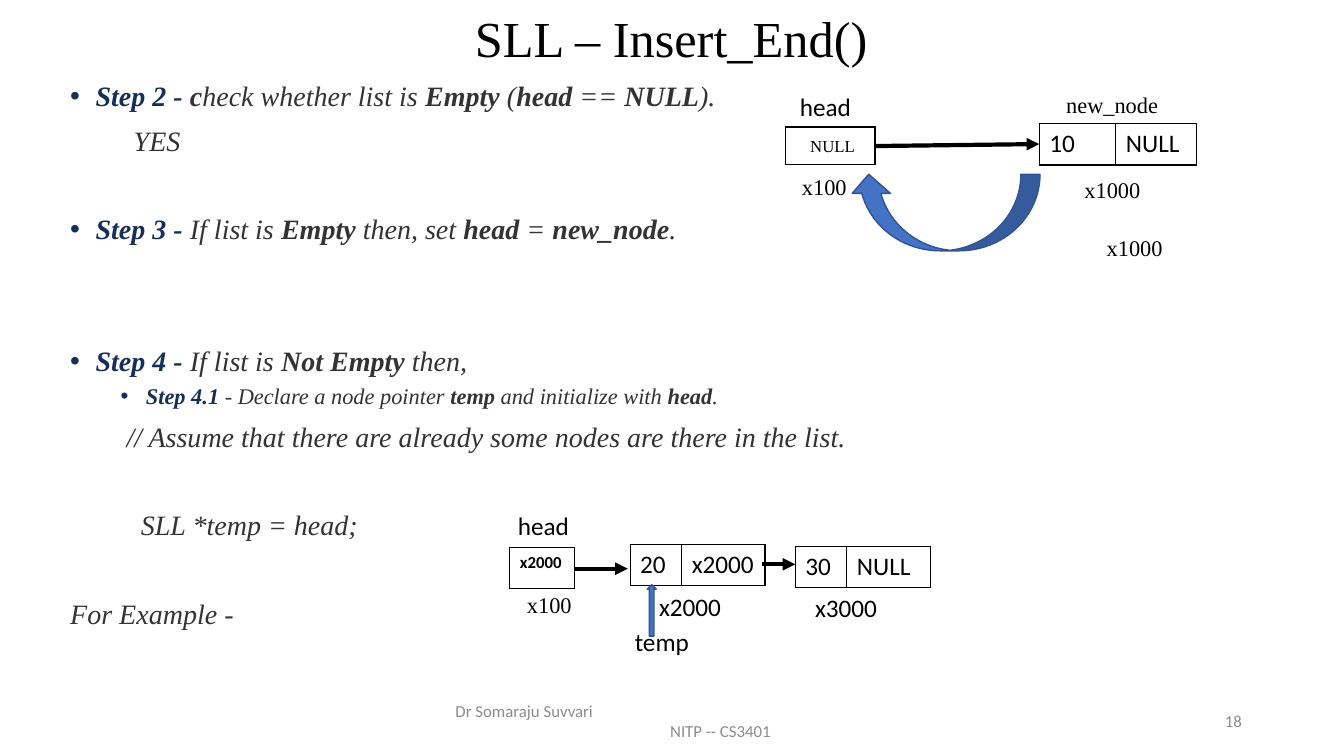
"""Build the slide on inserting a node at the end of a singly linked list."""
from lxml.etree import SubElement
from pptx import Presentation
from pptx.dml.color import RGBColor as RGB
from pptx.enum.shapes import MSO_CONNECTOR as LINE, MSO_SHAPE as SHAPE
from pptx.enum.text import MSO_ANCHOR as ANCHOR, PP_ALIGN as ALIGN
from pptx.oxml.ns import qn
from pptx.util import Cm, Pt

HUES = {"black": "000000", "navy": "162F59", "dark": "333333",
        "gray": "8C8C8C", "blue": "4472C4", "edge": "325491"}
SERIF, SANS = "Times New Roman", "Calibri"


def style(run, size, face, hue, bold=False, italic=False):
    font = run.font
    font.size, font.name = Pt(size), face
    font.bold, font.italic = bold, italic
    font.color.rgb = RGB.from_string(HUES[hue])


def label(text, x, y, wide, high, size, face, hue="black"):
    frame = slide.shapes.add_textbox(Cm(x), Cm(y), Cm(wide), Cm(high)).text_frame
    frame.word_wrap = True
    frame.text = text
    for para in frame.paragraphs:
        for run in para.runs:
            style(run, size, face, hue)
    return frame


deck = Presentation()
deck.slide_width, deck.slide_height = Cm(33.87), Cm(19.05)
slide = deck.slides.add_slide(deck.slide_layouts[5])

title = slide.shapes.title
title.left, title.top, title.width, title.height = Cm(2.31), Cm(0.38), Cm(29.21), Cm(1.3)
title.text_frame.text = "SLL – Insert_End()"
title.text_frame.vertical_anchor = ANCHOR.MIDDLE
head = title.text_frame.paragraphs[0]
head.alignment, head.line_spacing = ALIGN.CENTER, 0.9
style(head.runs[0], 36, SERIF, "black")

STEPS = [
    ("|Step 2 - ||c|heck whether list is |Empty| (|head| == |NULL|).", 20, 0.64, 10),
    ("YES", 20, 1.6, 10),
    ("|Step 3 - |If list is |Empty| then, set |head| = |new_node|.", 20, 0.64, 41.5),
    ("|Step 4 - |If list is |Not Empty| then,", 20, 0.64, 73),
    ("|Step 4.1 |- Declare a node pointer |temp| and initialize with |head|.", 16, 1.91, 5),
    ("// Assume that there are already some nodes are there in the list.", 20, 1.42, 10),
    ("SLL *temp = head;", 20, 1.78, 41.5),
    ("For Example -", 20, 0, 41.5),
]
body = slide.shapes.add_textbox(Cm(1.52), Cm(1.96), Cm(30.76), Cm(15.21)).text_frame
body.word_wrap = True
for row, (text, size, left, gap) in enumerate(STEPS):
    para = body.add_paragraph() if row else body.paragraphs[0]
    para.alignment, para.line_spacing, para.space_before = ALIGN.JUSTIFY, 0.9, Pt(gap)
    for spot, part in enumerate(text.split("|")):
        if part:
            run = para.add_run()
            run.text = part
            hue = "navy" if part.startswith("Step") else "dark"
            style(run, size, SERIF, hue, spot % 2 == 1, True)
    props = para._p.get_or_add_pPr()
    props.set("marL", str(Cm(left)))
    if "Step" in text:
        props.set("indent", str(-Cm(0.64)))
        tint = SubElement(props, qn("a:buClr"))
        SubElement(tint, qn("a:srgbClr"), val=HUES["navy"])
        SubElement(props, qn("a:buFont"), typeface="Arial")
        SubElement(props, qn("a:buChar"), char="•")

foot = label("Dr Somaraju Suvvari\nNITP -- CS3401", 11.23, 17.65, 11.43, 1.02, 12, SANS, "gray")
foot.vertical_anchor = ANCHOR.MIDDLE
foot.paragraphs[1]._p.get_or_add_pPr().set("marL", str(Cm(5.41)))
page = label("18", 23.93, 17.65, 7.62, 1.02, 12, SANS, "gray")
page.vertical_anchor = ANCHOR.MIDDLE
page.paragraphs[0].alignment = ALIGN.RIGHT

NODES = [
    ([""], 19.79, 3.2, [2.26], 0.94, 18),
    (["x2000"], 12.85, 13.79, [1.63], 1.04, 12),
    (["20", "x2000"], 15.88, 13.72, [1.3, 2.1], 1.04, 18),
    (["30", "NULL"], 20.04, 13.77, [1.3, 2.1], 1.04, 18),
    (["10", "NULL"], 26.19, 3.12, [1.93, 2.03], 1.04, 18),
]
for texts, x, y, cols, high, size in NODES:
    node = slide.shapes.add_table(1, len(cols), Cm(x), Cm(y), Cm(sum(cols)), Cm(high)).table
    node.first_row = node.horz_banding = False
    for spot, (text, wide) in enumerate(zip(texts, cols)):
        node.columns[spot].width = Cm(wide)
        cell = node.cell(0, spot)
        cell.text = text
        cell.margin_bottom = 0
        for run in cell.text_frame.paragraphs[0].runs:
            style(run, size, SANS, "black", size == 12)
        props = cell._tc.get_or_add_tcPr()
        for side in ("a:lnL", "a:lnR", "a:lnT", "a:lnB"):
            edge = SubElement(props, qn(side), w=str(Pt(1)))
            paint = SubElement(edge, qn("a:solidFill"))
            SubElement(paint, qn("a:srgbClr"), val=HUES["black"])
        cell.fill.background()

LINKS = [(22.07, 3.68, 26.19, 3.63), (14.48, 14.33, 15.82, 14.33), (19.2, 14.22, 20.04, 14.22)]
for ends in LINKS:
    link = slide.shapes.add_connector(LINE.STRAIGHT, *map(Cm, ends))
    link.line.width = Pt(3)
    link.line.color.rgb = RGB.from_string(HUES["black"])
    SubElement(link.line._get_or_add_ln(), qn("a:tailEnd"), type="triangle")
    SubElement(link._element.spPr, qn("a:effectLst"))

ARROWS = [
    (SHAPE.UP_ARROW, 16.31, 14.73, 0.23, 1.3, 0),
    (SHAPE.CURVED_DOWN_ARROW, 21.41, 4.39, 4.8, 1.93, 180),
]
for kind, x, y, wide, high, turn in ARROWS:
    arrow = slide.shapes.add_shape(kind, Cm(x), Cm(y), Cm(wide), Cm(high))
    arrow.rotation = turn
    arrow.shadow.inherit = False
    arrow.fill.solid()
    arrow.fill.fore_color.rgb = RGB.from_string(HUES["blue"])
    arrow.line.color.rgb = RGB.from_string(HUES["edge"])
    arrow.line.width = Pt(1)

LABELS = [
    ("head", 19.91, 2.18, 2.03, 18, SANS),
    ("x100", 19.96, 4.24, 2.11, 16, SERIF),
    ("NULL", 20.17, 3.3, 1.98, 12, SERIF),
    ("new_node", 26.62, 2.16, 2.87, 16, SERIF),
    ("x1000", 27.08, 4.32, 2.03, 16, SERIF),
    ("x1000", 27.64, 5.77, 2.03, 16, SERIF),
    ("head", 12.8, 12.73, 2.03, 18, SANS),
    ("x100", 13.03, 14.78, 2.11, 16, SERIF),
    ("x2000", 16.36, 14.78, 3.1, 18, SANS),
    ("x3000", 20.29, 14.81, 3.1, 18, SANS),
    ("temp", 15.75, 15.67, 2.13, 18, SANS),
]
for text, x, y, wide, size, face in LABELS:
    label(text, x, y, wide, 0.25 + size * 0.04, size, face)

deck.save("out.pptx")
